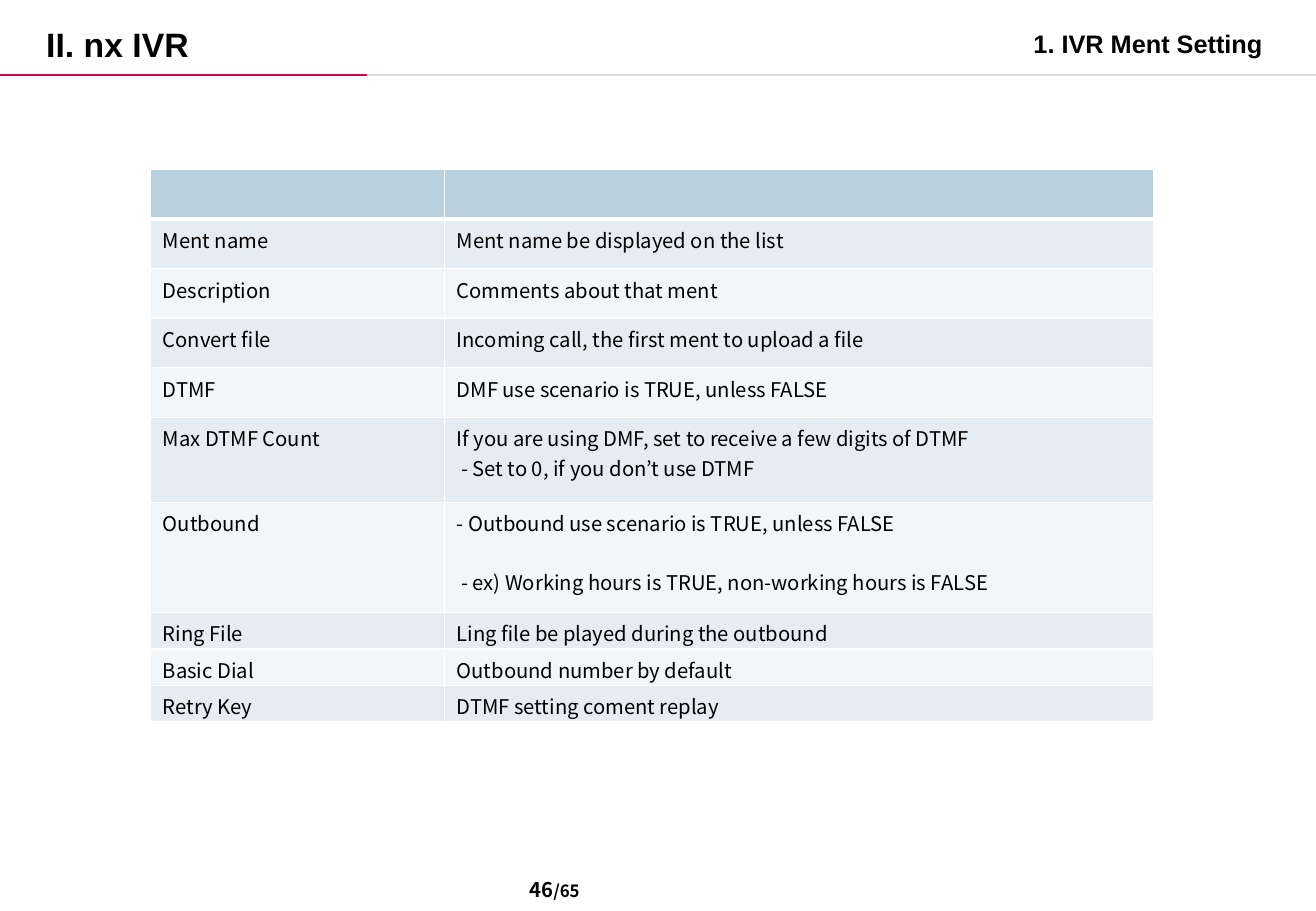
from typing import NamedTuple

import pptx
import pptx.util
import pptx.dml.color
import pptx.enum.shapes
import pptx.enum.text
import pptx.oxml.xmlchemy

Pt = pptx.util.Pt
OxmlElement = pptx.oxml.xmlchemy.OxmlElement

BLACK, WHITE = "000000", "FFFFFF"
HEADER, BANDS = "B8CFDE", ("E6EDF2", "F3F6F9")
HEAD_FONT, BODY_FONT = "Arial", "Noto Sans CJK KR"
BODY_SIZE = 12
RULE_Y = 44.5


class Line(NamedTuple):
    text: str
    indent: float = 0
    before: float = 0


class Row(NamedTuple):
    height: float
    name: str
    lines: tuple[Line, ...]


class Rule(NamedTuple):
    left: float
    right: float
    color: str


class Heading(NamedTuple):
    text: str
    size: float
    left: float
    top: float
    width: float
    height: float
    inset: float


TALL, SHORT = 29.4, 21.6
ROWS = (
    Row(TALL, "", ()),
    Row(TALL, "Ment name", (Line("Ment name be displayed on the list"),)),
    Row(TALL, "Description", (Line("Comments about that ment"),)),
    Row(TALL, "Convert file",
        (Line("Incoming call, the first ment to upload a file"),)),
    Row(TALL, "DTMF", (Line("DMF use scenario is TRUE, unless FALSE"),)),
    Row(50.4, "Max DTMF Count",
        (Line("If you are using DMF, set to receive a few digits of DTMF"),
         Line("- Set to 0, if you don’t use DTMF", indent=2.7))),
    Row(65.2, "Outbound",
        (Line("- Outbound use scenario is TRUE, unless FALSE"),
         Line("- ex) Working hours is TRUE, non-working hours is FALSE",
              indent=2.7, before=17.3))),
    Row(SHORT, "Ring File", (Line("Ling file be played during the outbound"),)),
    Row(SHORT, "Basic Dial", (Line("Outbound number by default"),)),
    Row(SHORT, "Retry Key", (Line("DTMF setting coment replay"),)),
)
COLUMNS = (174.2, 420.5)
RULES = (Rule(0, 217.5, "C70952"), Rule(217.5, 780, "DDDDDD"))
TITLE = Heading("II. nx IVR", 20, 20.2, 3.6, 242.6, 33.3, 10.3)
SECTION = Heading("1. IVR Ment Setting", 15, 605.5, 8.6, 151.2, 28.8, 8)


def rgb(color: str) -> pptx.dml.color.RGBColor:
    return pptx.dml.color.RGBColor.from_string(color)


def set_font(font, name: str, size: float, bold: bool) -> None:
    font.name, font.size, font.bold = name, Pt(size), bold
    font.color.rgb = rgb(BLACK)


def fill_heading(sp, heading: Heading) -> None:
    sp.left, sp.top = Pt(heading.left), Pt(heading.top)
    sp.width, sp.height = Pt(heading.width), Pt(heading.height)
    tf = sp.text_frame
    tf.word_wrap = True
    tf.auto_size = pptx.enum.text.MSO_AUTO_SIZE.NONE
    tf.vertical_anchor = pptx.enum.text.MSO_ANCHOR.TOP
    tf.margin_left, tf.margin_right = Pt(7.2), 0
    tf.margin_top, tf.margin_bottom = Pt(heading.inset), 0
    p = tf.paragraphs[0]
    p.text = heading.text
    p.alignment = pptx.enum.text.PP_ALIGN.LEFT
    set_font(p.font, HEAD_FONT, heading.size, True)


def add_rule(s, rule: Rule) -> None:
    line = s.shapes.add_connector(
        pptx.enum.shapes.MSO_CONNECTOR.STRAIGHT,
        Pt(rule.left), Pt(RULE_Y), Pt(rule.right), Pt(RULE_Y))
    line.line.color.rgb = rgb(rule.color)
    line.line.width = Pt(1.5)
    line._element.spPr.append(OxmlElement("a:effectLst"))


def fill_cell(cell, lines: tuple[Line, ...], color: str, bottom: float) -> None:
    """Write the lines into a cell and give it its fill and white borders."""
    cell.margin_bottom = 0
    tf = cell.text_frame
    for i, line in enumerate(lines):
        p = tf.add_paragraph() if i else tf.paragraphs[0]
        p.text = line.text
        if line.indent:
            p._p.get_or_add_pPr().set("marL", str(Pt(line.indent)))
        if line.before:
            p.space_before = Pt(line.before)
        set_font(p.font, BODY_FONT, BODY_SIZE, False)
    tcPr = cell._tc.get_or_add_tcPr()
    for side, width in (("L", 1), ("R", 1), ("T", 1), ("B", bottom)):
        ln = OxmlElement(f"a:ln{side}")
        ln.set("w", str(Pt(width)))
        solid = OxmlElement("a:solidFill")
        clr = OxmlElement("a:srgbClr")
        clr.set("val", WHITE)
        solid.append(clr)
        ln.append(solid)
        tcPr.append(ln)
    cell.fill.solid()
    cell.fill.fore_color.rgb = rgb(color)


def add_settings_table(s) -> None:
    table = s.shapes.add_table(
        len(ROWS), len(COLUMNS), Pt(89.3), Pt(100.4),
        Pt(sum(COLUMNS)), Pt(sum(row.height for row in ROWS))).table
    table.first_row = table.horz_banding = False
    for column, width in zip(table.columns, COLUMNS):
        column.width = Pt(width)
    for i, row in enumerate(ROWS):
        table.rows[i].height = Pt(row.height)
        color = BANDS[(i - 1) % 2] if i else HEADER
        name = (Line(row.name),) if row.name else ()
        for j, lines in enumerate((name, row.lines)):
            fill_cell(table.cell(i, j), lines, color, 1 if i else 3)


def add_page_number(s) -> None:
    tf = s.shapes.add_textbox(Pt(306.7), Pt(518.4), Pt(162.7), Pt(18)).text_frame
    tf.word_wrap = True
    tf.vertical_anchor = pptx.enum.text.MSO_ANCHOR.MIDDLE
    for text, size in (("46", 12), ("/65", 10)):
        r = tf.paragraphs[0].add_run()
        r.text = text
        set_font(r.font, BODY_FONT, size, True)


def main() -> None:
    prs = pptx.Presentation()
    prs.slide_width, prs.slide_height = Pt(780), Pt(540)
    s = prs.slides.add_slide(prs.slide_layouts.get_by_name("Title Only"))
    for rule in RULES:
        add_rule(s, rule)
    add_settings_table(s)
    add_page_number(s)
    fill_heading(s.shapes.title, TITLE)
    fill_heading(s.shapes.add_textbox(0, 0, 0, 0), SECTION)
    prs.save("out.pptx")


if __name__ == "__main__":
    main()
